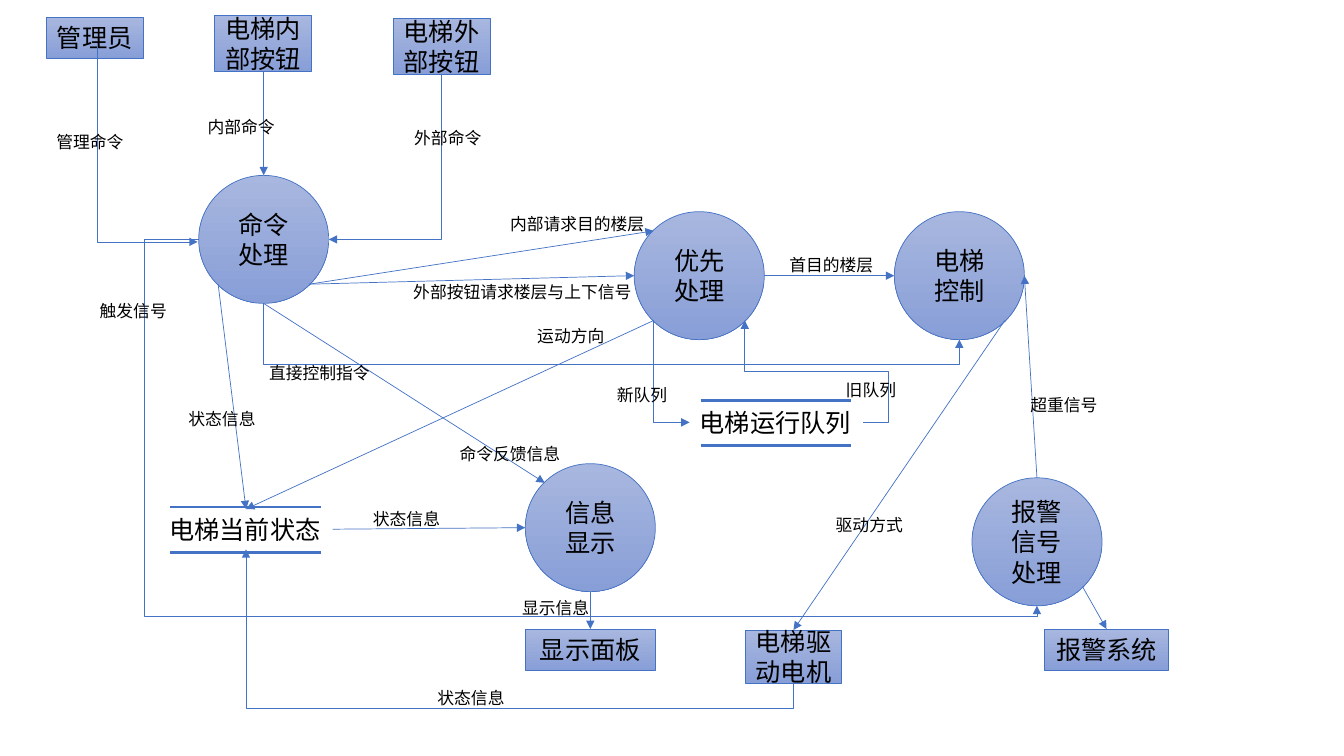
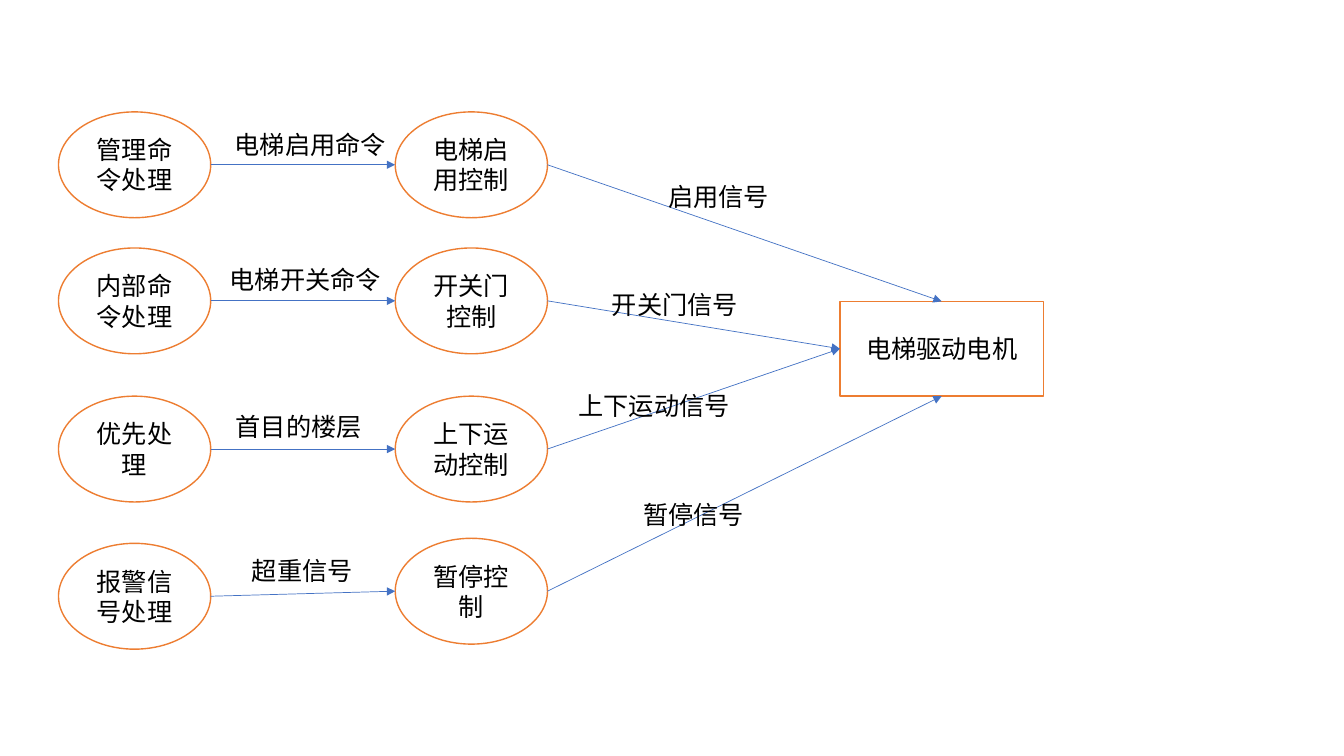
from lxml import etree
from pptx import Presentation
from pptx.dml.color import RGBColor
from pptx.enum.shapes import MSO_CONNECTOR as LINK, MSO_SHAPE as SHAPE
from pptx.enum.text import MSO_ANCHOR, MSO_AUTO_SIZE, PP_ALIGN
from pptx.oxml.ns import qn
from pptx.util import Inches, Pt

CELL = Inches(1)  # the slide is a grid of 13.33 columns by 7.5 rows
COLUMNS, ROWS = 13.33, 7.5
FONT = "Noto Sans CJK SC"
BLACK = RGBColor(0x00, 0x00, 0x00)
WHITE = RGBColor(0xFF, 0xFF, 0xFF)
BLUE = RGBColor(0x44, 0x72, 0xC4)
PALE_BLUE = RGBColor(0xA8, 0xB7, 0xDF)
SOFT_BLUE = RGBColor(0x88, 0x9E, 0xD7)
ORANGE = RGBColor(0xED, 0x7D, 0x31)

# Connection sites in preset order, as shares of the node's size
CIRCLE_SITES = {"top": (0.5, 0), "top left": (0.15, 0.15), "left": (0, 0.5),
                "bottom left": (0.15, 0.85), "bottom": (0.5, 1),
                "bottom right": (0.85, 0.85), "right": (1, 0.5),
                "top right": (0.85, 0.15)}
BOX_SITES = {"top": (0.5, 0), "left": (0, 0.5), "bottom": (0.5, 1), "right": (1, 0.5)}

CIRCLE, WIDE_BOX, TALL_BOX = (1.29, 1.27), (1.29, 0.41), (0.96, 0.56)
OVAL, STORE = (1.51, 1.05), (1.72, 0.4)
INPUT_X, CONTROL_X = 0.58, 3.92
OVAL_ROWS = [  # input, its top, command, label place, control, its top
    ("管理命令处理", 1.11, "电梯启用命令", (2.23, 1.23), "电梯启用控制", 1.11),
    ("内部命令处理", 2.46, "电梯开关命令", (2.18, 2.57), "开关门控制", 2.46),
    ("优先处理", 3.93, "首目的楼层", (2.24, 4.03), "上下运动控制", 3.93),
    ("报警信号处理", 5.39, "超重信号", (2.4, 5.46), "暂停控制", 5.34),
]

data_flow = {
    "label_size": 12,
    "circles": [
        ("命令处理", (1.97, 1.74), CIRCLE),
        ("优先处理", (6.29, 2.1), CIRCLE),
        ("电梯控制", (8.87, 2.1), CIRCLE),
        ("信息显示", (5.21, 4.6), CIRCLE),
        ("报警信号处理", (9.64, 4.74), CIRCLE),
    ],
    "boxes": [
        ("管理员", (0.46, 0.17), (0.96, 0.41)),
        ("电梯内部按钮", (2.13, 0.15), TALL_BOX),
        ("电梯外部按钮", (3.9, 0.18), TALL_BOX),
        ("显示面板", (5.21, 6.24), WIDE_BOX),
        ("电梯驱动电机", (7.39, 6.25), (0.96, 0.53)),
        ("报警系统", (10.36, 6.24), (1.23, 0.41)),
    ],
    "stores": [
        ("电梯当前状态", (1.58, 5.05), STORE),
        ("电梯运行队列", (6.84, 3.99), STORE),
    ],
    "straight": [
        ("命令处理", "bottom left", "电梯当前状态", "top"),
        ("电梯当前状态", "right", "信息显示", "left"),
        ("信息显示", "bottom", "显示面板", "top"),
        ("命令处理", "bottom", "信息显示", "top left"),
        ("命令处理", "bottom right", "优先处理", "top left"),
        ("命令处理", "bottom right", "优先处理", "left"),
        ("优先处理", "right", "电梯控制", "left"),
        ("优先处理", "bottom left", "电梯当前状态", "top"),
        ("电梯控制", "bottom right", "电梯驱动电机", "top"),
        ("报警信号处理", "top", "电梯控制", "right"),
        ("报警信号处理", "bottom right", "报警系统", "top"),
    ],
    # Axis of the first leg (0 across, 1 down), then where each free leg turns
    "bent": [
        (None, (0.97, 0.46), None, (1.96, 2.4), 1, ()),
        ("电梯内部按钮", "bottom", "命令处理", "top", 1, (1.23,)),
        ("电梯外部按钮", "bottom", "命令处理", "right", 1, ()),
        ("优先处理", "bottom left", "电梯运行队列", "left", 1, ()),
        ("电梯运行队列", "right", "优先处理", "bottom right", 0, (8.81, 3.68)),
        ("命令处理", "bottom", "电梯控制", "bottom", 1, (3.62,)),
        ("命令处理", "left", "报警信号处理", "bottom", 0, (1.43, 6.12)),
        ("电梯驱动电机", "bottom", "电梯当前状态", "bottom", 1, (7.03,)),
    ],
    "labels": [
        ("管理命令", (0.46, 1.26)), ("内部命令", (1.96, 1.11)),
        ("外部命令", (4.01, 1.22)), ("状态信息", (1.77, 4.01)),
        ("状态信息", (3.6, 5)), ("显示信息", (5.08, 5.88)),
        ("命令反馈信息", (4.46, 4.35)), ("直接控制指令", (2.57, 3.55)),
        ("内部请求目的楼层", (4.96, 2.07)),
        ("外部按钮请求楼层与上下信号", (4, 2.75)),
        ("首目的楼层", (7.73, 2.48)), ("运动方向", (5.23, 3.18)),
        ("新队列", (6.02, 3.77)), ("旧队列", (8.29, 3.72)),
        ("触发信号", (0.89, 2.93)), ("驱动方式", (8.19, 5.06)),
        ("超重信号", (10.12, 3.87)), ("状态信息", (4.24, 6.77)),
    ],
}

motor_control = {
    "label_size": 18,
    "circles": [(row[0], (INPUT_X, row[1]), OVAL) for row in OVAL_ROWS]
    + [(row[4], (CONTROL_X, row[5]), OVAL) for row in OVAL_ROWS],
    "boxes": [("电梯驱动电机", (8.33, 2.99), (2.02, 0.94))],
    "stores": [],
    "straight": [(row[0], "right", row[4], "left") for row in OVAL_ROWS]
    + [(row[4], "right", "电梯驱动电机", side)
       for row, side in zip(OVAL_ROWS, ("top", "left", "left", "bottom"))],
    "bent": [],
    "labels": [(row[2], row[3]) for row in OVAL_ROWS] + [
        ("启用信号", (6.53, 1.75)), ("开关门信号", (5.97, 2.82)),
        ("上下运动信号", (5.64, 3.82)), ("暂停信号", (6.28, 4.9)),
    ],
}


def add_words(slide, words, place, size, points, geometry=None):
    """Add words in a preset shape, or in a free text box when no geometry is given."""
    box = [int(length * CELL) for length in (*place, *size)]
    if geometry is None:
        holder = slide.shapes.add_textbox(*box)
    else:
        holder = slide.shapes.add_shape(geometry, *box)
        holder.shadow.inherit = False
    frame = holder.text_frame
    frame.text = words
    frame.word_wrap = geometry is not None
    paragraph = frame.paragraphs[0]
    if geometry is None:
        frame.auto_size = MSO_AUTO_SIZE.SHAPE_TO_FIT_TEXT
    else:
        frame.vertical_anchor = MSO_ANCHOR.MIDDLE
        paragraph.alignment = PP_ALIGN.CENTER
    paragraph.font.size = Pt(points)
    paragraph.font.color.rgb = BLACK
    paragraph.font.name = FONT
    east_asian = etree.Element(qn("a:ea"), typeface=FONT)
    paragraph._p.find(".//" + qn("a:latin")).addnext(east_asian)
    return holder


def add_line(slide, kind, start, end, points, arrow):
    ends = [int(length * CELL) for length in (*start, *end)]
    line = slide.shapes.add_connector(kind, *ends)
    line.line.color.rgb = BLUE
    line.line.width = Pt(points)
    if arrow:
        etree.SubElement(line.line._get_or_add_ln(), qn("a:tailEnd"), type="triangle")
    etree.SubElement(line.element.spPr, qn("a:effectLst"))
    return line


deck = Presentation()
deck.slide_width, deck.slide_height = int(COLUMNS * CELL), int(ROWS * CELL)

for diagram in (data_flow, motor_control):
    slide = deck.slides.add_slide(deck.slide_layouts[6])
    nodes = {}

    for group, geometry, sites in (("circles", SHAPE.OVAL, CIRCLE_SITES),
                                   ("boxes", SHAPE.RECTANGLE, BOX_SITES),
                                   ("stores", None, BOX_SITES)):
        for name, place, size in diagram[group]:
            node = add_words(slide, name, place, size, 18, geometry)
            nodes[name] = node, place, size, sites
            if group == "stores":
                left, top = place
                for bar_y in (top - 0.02, top + 0.43):
                    add_line(slide, LINK.STRAIGHT, (left + 0.11, bar_y),
                             (left + 1.6, bar_y), 2, arrow=False)
            elif diagram is data_flow:
                node.fill.gradient()
                node.fill.gradient_angle = 270
                for stop, shade in zip(node.fill.gradient_stops, (PALE_BLUE, SOFT_BLUE)):
                    stop.color.rgb = shade
                node.line.color.rgb = BLUE
                node.line.width = Pt(0.5)
            else:
                node.fill.solid()
                node.fill.fore_color.rgb = WHITE
                node.line.color.rgb = ORANGE
                node.line.width = Pt(1)

    flows = [(*flow, None, ()) for flow in diagram["straight"]] + diagram["bent"]
    for source, source_site, target, target_site, first_axis, turns in flows:
        ends, glue = [], []
        for tag, name, site in (("a:stCxn", source, source_site),
                                ("a:endCxn", target, target_site)):
            if name is None:
                ends.append(site)
                continue
            node, place, size, sites = nodes[name]
            ends.append([p + s * share for p, s, share in zip(place, size, sites[site])])
            glue.append((tag, node.shape_id, list(sites).index(site)))
        start, end = ends

        if first_axis is None:
            flow = add_line(slide, LINK.STRAIGHT, start, end, 0.5, arrow=True)
        else:
            begin, finish, turn = start, end, 0
            if first_axis == 1:  # a downward first leg is an across one, turned
                dx, dy = end[0] - start[0], end[1] - start[1]
                turn, across, down = (90, dy, -dx) if dx < 0 else (270, -dy, dx)
                mid_x, mid_y = start[0] + dx / 2, start[1] + dy / 2
                begin = mid_x - across / 2, mid_y - down / 2
                finish = mid_x + across / 2, mid_y + down / 2
            flow = add_line(slide, LINK.ELBOW, begin, finish, 0.5, arrow=True)
            if turn:
                flow.element.spPr.find(qn("a:xfrm")).set("rot", str(turn * 60000))
            preset = flow.element.spPr.find(qn("a:prstGeom"))
            preset.set("prst", f"bentConnector{2 + len(turns)}")
            for step, position in enumerate(turns):
                axis = (first_axis + step) % 2
                share = (position - start[axis]) / (end[axis] - start[axis])
                etree.SubElement(preset.find(qn("a:avLst")), qn("a:gd"),
                                 name=f"adj{step + 1}", fmla=f"val {round(share * 100000)}")

        joints = flow.element.find(".//" + qn("p:cNvCxnSpPr"))
        for tag, node_id, site_index in glue:
            etree.SubElement(joints, qn(tag), id=str(node_id), idx=str(site_index))

    points = diagram["label_size"]
    for words, place in diagram["labels"]:
        size = len(words) * points / 72 + 0.2, points / 60 + 0.1
        add_words(slide, words, place, size, points)

deck.save("out.pptx")
